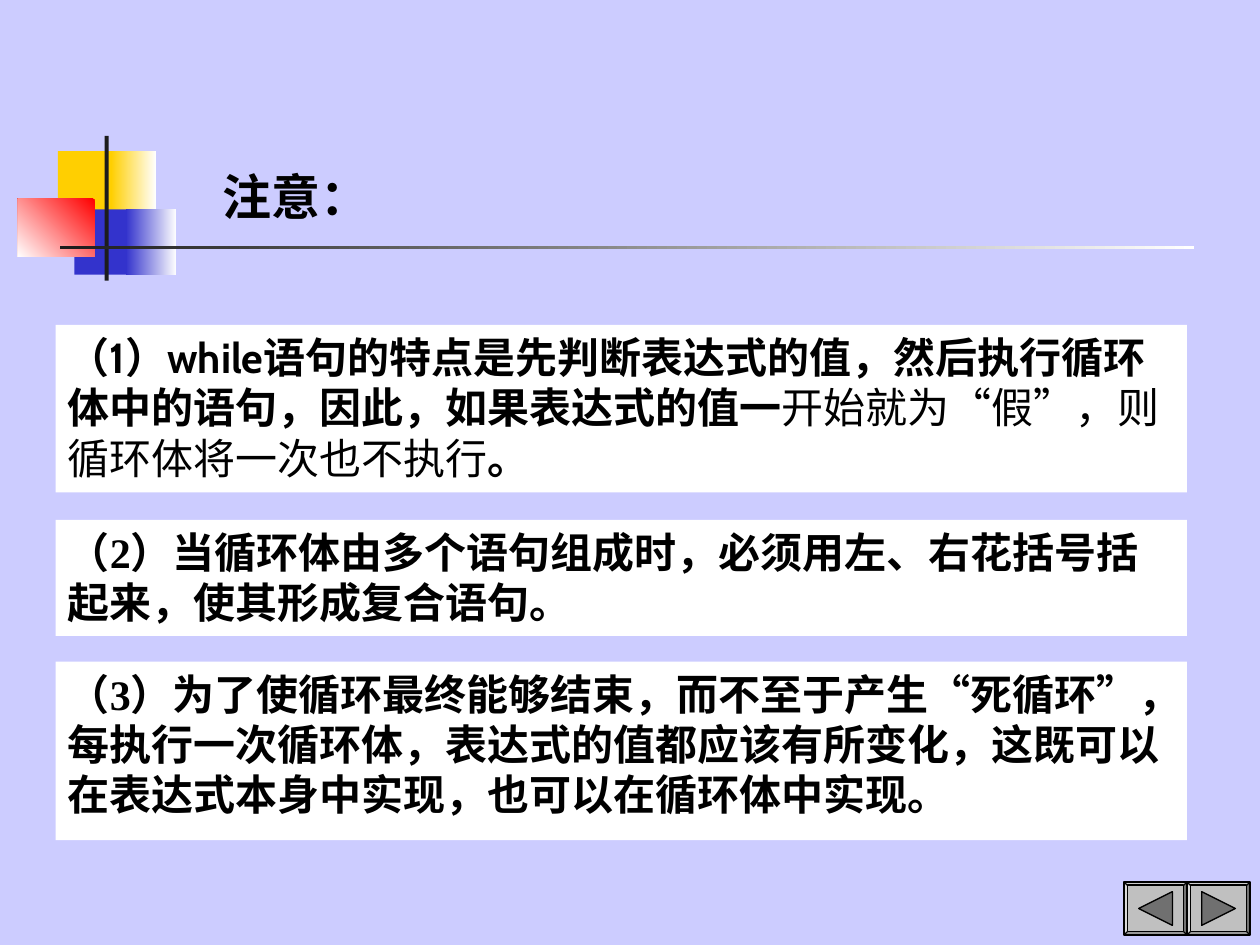
import pptx
import pptx.util
import pptx.dml.color
import pptx.enum.shapes
import pptx.enum.text
import pptx.oxml.ns
from dataclasses import dataclass
from lxml import etree
from pptx.util import Cm, Pt

SHAPE = pptx.enum.shapes.MSO_SHAPE


@dataclass(frozen=True)
class Theme:
    background: str = "CCCCFF"
    white: str = "FFFFFF"
    black: str = "000000"
    yellow: str = "FFCF01"
    blue: str = "3333CC"
    red: str = "FF0000"
    dark: str = "1C1C1C"
    button: str = "C0C0C0"
    arrow: str = "707070"
    cjk: str = "Noto Sans CJK SC"
    latin: str = "Cabin"
    serif: str = "Times New Roman"
    title_size: int = 28
    body_size: int = 24


T = Theme()


def rgb(value):
    return pptx.dml.color.RGBColor.from_string(value)


def paint(sp, fill, line=None):
    """Plain fill, with an outline only when a line colour is given."""
    sp.shadow.inherit = False
    sp.fill.solid()
    sp.fill.fore_color.rgb = rgb(fill)
    if line:
        sp.line.color.rgb = rgb(line)
        sp.line.width = Pt(0.75)
    else:
        sp.line.fill.background()


def add_block(s, box, fill, kind=SHAPE.RECTANGLE, line=None):
    sp = s.shapes.add_shape(kind, *(Cm(v) for v in box))
    paint(sp, fill, line)
    return sp


def add_fade(s, box, start, end, angle):
    sp = add_block(s, box, start)
    sp.fill.gradient()
    sp.fill.gradient_angle = angle
    for stop, colour in zip(sp.fill.gradient_stops, (start, end)):
        stop.color.rgb = rgb(colour)


def write(tf, runs, size, anchor):
    """Fill a frame with one paragraph of (text, font, bold) runs."""
    frame_format = {
        "word_wrap": True, "vertical_anchor": anchor,
        "auto_size": pptx.enum.text.MSO_AUTO_SIZE.NONE,
        "margin_left": Cm(0.25), "margin_right": Cm(0.25),
        "margin_top": Cm(0.13), "margin_bottom": Cm(0.13),
    }
    for name, value in frame_format.items():
        setattr(tf, name, value)
    p = tf.paragraphs[0]
    p.alignment = pptx.enum.text.PP_ALIGN.LEFT
    for text, font, bold in runs:
        r = p.add_run()
        r.text = text
        for name, value in {"name": font, "size": Pt(size), "bold": bold}.items():
            setattr(r.font, name, value)
        r.font.color.rgb = rgb(T.black)
        ea = etree.SubElement(r.font._element, pptx.oxml.ns.qn("a:ea"))
        ea.set("typeface", T.cjk)


def add_title(s, text):
    sp = s.shapes.title
    box = {"left": 4.24, "top": 2.97, "width": 5.05, "height": 1.7}
    for name, value in box.items():
        setattr(sp, name, Cm(value))
    write(sp.text_frame, [(text, T.cjk, True)], T.title_size,
          pptx.enum.text.MSO_ANCHOR.BOTTOM)


def add_note(s, top, height, runs):
    sp = add_block(s, (1.12, top, 22.81, height), T.white)
    write(sp.text_frame, runs, T.body_size, pptx.enum.text.MSO_ANCHOR.TOP)


def add_button(s, left, direction):
    """Bevelled button with a triangle pointing left (-1) or right (1)."""
    top, width, height = 17.78, 1.27, 1.07
    sp = add_block(s, (left, top, width, height), T.button, SHAPE.BEVEL, T.black)
    sp.adjustments[0] = 0.06
    x, y = left + width / 2, top + height / 2
    base, tip = x - direction * 0.34, x + direction * 0.34
    fb = s.shapes.build_freeform(Cm(base), Cm(y - 0.34))
    fb.add_line_segments([(Cm(tip), Cm(y)), (Cm(base), Cm(y + 0.34))])
    paint(fb.convert_to_shape(), T.arrow, T.black)


def add_ornament(s):
    add_block(s, (1.17, 3.05, 1.22, 1.32), T.yellow)
    add_fade(s, (2.24, 3.05, 0.91, 1.32), T.white, T.yellow, 180)
    add_block(s, (1.5, 4.22, 1.17, 1.32), T.blue)
    add_fade(s, (2.54, 4.22, 1.02, 1.32), T.white, T.blue, 180)
    add_fade(s, (0.36, 4.01, 1.55, 1.17), T.red, T.white, 225)
    add_block(s, (2.11, 2.74, 0.08, 2.92), T.dark)
    add_fade(s, (1.22, 4.95, 22.86, 0.08), T.white, T.dark, 180)


def main():
    prs = pptx.Presentation()
    prs.slide_width, prs.slide_height = Cm(25.4), Cm(19.05)
    s = prs.slides.add_slide(prs.slide_layouts[5])
    s.background.fill.solid()
    s.background.fill.fore_color.rgb = rgb(T.background)

    # Heading with its coloured squares and rule
    add_ornament(s)
    add_title(s, "注意：")

    # Three numbered notes
    add_note(s, 6.55, 3.38, [
        ("（", T.cjk, True), ("1", T.latin, True), ("）", T.cjk, True),
        ("while", T.latin, True),
        ("语句的特点是先判断表达式的值，然后执行循环体中的语句，"
         "因此，如果表达式的值一", T.cjk, True),
        ("开始就为“假”，则循环体将一次也不执行", T.cjk, False),
        ("。", T.cjk, True)])
    numbered = [
        (10.48, 2.34, "2", "）当循环体由多个语句组成时，必须用左、右花括号括起来，"
         "使其形成复合语句。"),
        (13.34, 3.6, "3", "）为了使循环最终能够结束，而不至于产生“死循环”，"
         "每执行一次循环体，表达式的值都应该有所变化，"
         "这既可以在表达式本身中实现，也可以在循环体中实现。")]
    for top, height, number, text in numbered:
        add_note(s, top, height, [("（", T.cjk, True), (number, T.serif, True),
                                  (text, T.cjk, True)])

    # Back and forward buttons
    for left, direction in ((22.66, -1), (23.93, 1)):
        add_button(s, left, direction)

    prs.save("out.pptx")


if __name__ == "__main__":
    main()
